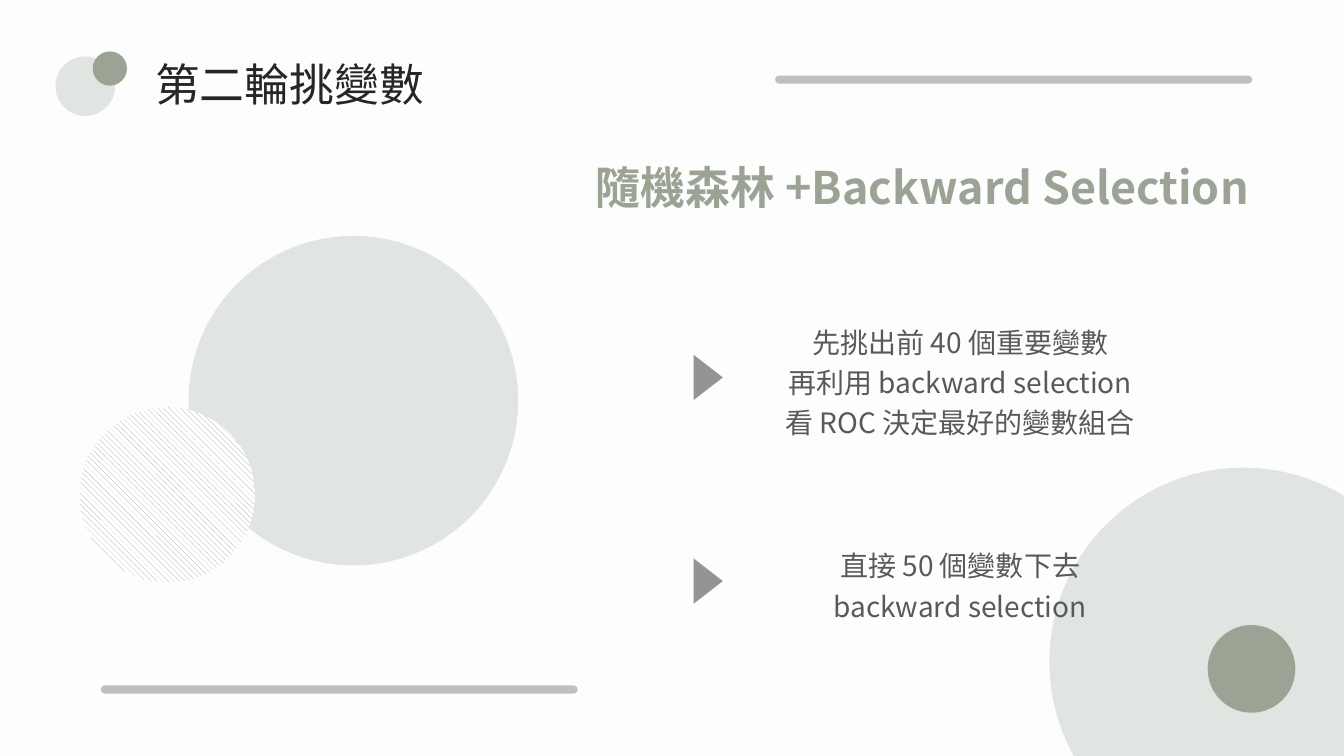
from dataclasses import dataclass

from lxml import etree
from pptx import Presentation, util as u
from pptx.dml.color import RGBColor
from pptx.enum import dml, shapes, text
from pptx.oxml.ns import qn


@dataclass(frozen=True)
class Theme:
    font: str = "Noto Sans CJK SC"
    background: str = "FDFDFD"
    white: str = "FFFFFF"
    mist: str = "E1E5E2"
    sage: str = "9AA394"
    marker: str = "929591"
    bar: str = "BFBFBF"
    ink: str = "262626"
    body: str = "595959"
    title_size: int = 32
    body_size: int = 20


class SlideBuilder:
    """Places elements by percentages of the slide's width and height."""

    def __init__(self, presentation, theme):
        self.theme = theme
        self.width = presentation.slide_width
        self.height = presentation.slide_height
        self.slide = presentation.slides.add_slide(presentation.slide_layouts[6])
        self.paint(self.slide.background.fill, theme.background)

    def box(self, left, top, width, height):
        return (int(self.width * left / 100), int(self.height * top / 100),
                int(self.width * width / 100), int(self.height * height / 100))

    @staticmethod
    def paint(fill, color):
        fill.solid()
        fill.fore_color.rgb = RGBColor.from_string(color)

    def shape(self, kind, bounds, color):
        shape = self.slide.shapes.add_shape(kind, *self.box(*bounds))
        shape.shadow.inherit = False
        shape.line.fill.background()
        self.paint(shape.fill, color)
        return shape

    def circle(self, left, top, diameter, color):
        """The diameter is a percentage of the slide's width."""
        bounds = (left, top, diameter, diameter * self.width / self.height)
        return self.shape(shapes.MSO_SHAPE.OVAL, bounds, color)

    def hatched_circle(self, left, top, diameter):
        fill = self.circle(left, top, diameter, self.theme.white).fill
        fill.patterned()
        fill.pattern = dml.MSO_PATTERN.WIDE_DOWNWARD_DIAGONAL
        fill.fore_color.rgb = RGBColor.from_string(self.theme.sage)
        fill.back_color.rgb = RGBColor.from_string(self.theme.white)

    def bar(self, left, top):
        bounds = (left, top, 35.48, 1.07)
        bar = self.shape(shapes.MSO_SHAPE.ROUNDED_RECTANGLE, bounds, self.theme.bar)
        bar.adjustments[0] = 0.5

    def marker(self, left, top):
        bounds = (left, top, 3.38, 3.87)
        marker = self.shape(shapes.MSO_SHAPE.ISOSCELES_TRIANGLE, bounds, self.theme.marker)
        marker.rotation = 90

    def text(self, bounds, lines, size, color, bold=False, wrap=True, **paragraph_format):
        frame = self.slide.shapes.add_textbox(*self.box(*bounds)).text_frame
        frame.word_wrap = wrap
        frame.auto_size = text.MSO_AUTO_SIZE.SHAPE_TO_FIT_TEXT
        font_format = {"name": self.theme.font, "size": u.Pt(size), "bold": bold}
        for index, line in enumerate(lines):
            paragraph = frame.add_paragraph() if index else frame.paragraphs[0]
            for name, value in paragraph_format.items():
                setattr(paragraph, name, value)
            run = paragraph.add_run()
            run.text = line
            for name, value in font_format.items():
                setattr(run.font, name, value)
            run.font.color.rgb = RGBColor.from_string(color)
            east_asian = etree.SubElement(run._r.get_or_add_rPr(), qn("a:ea"))
            east_asian.set("typeface", self.theme.font)

    def title(self, bounds, line, color, **options):
        self.text(bounds, [line], self.theme.title_size, color, **options)

    def body(self, bounds, lines):
        self.text(bounds, lines, self.theme.body_size, self.theme.body,
                  alignment=text.PP_ALIGN.CENTER, line_spacing=1.2)


def main():
    presentation = Presentation()
    presentation.slide_width = u.Inches(13.33)
    presentation.slide_height = u.Inches(7.5)
    theme = Theme()
    page = SlideBuilder(presentation, theme)

    page.circle(78.08, 61.87, 28.88, theme.mist)
    page.circle(14.03, 31.2, 24.53, theme.mist)

    page.title((10.8, 6.8, 21.68, 8.53), "第二輪挑變數", theme.ink, wrap=False)
    page.circle(4.13, 7.47, 4.43, theme.mist)
    page.circle(6.9, 6.8, 2.55, theme.sage)
    page.title((43.58, 20.53, 55.73, 8.53), "隨機森林 +Backward Selection",
               theme.sage, bold=True)
    page.hatched_circle(5.93, 53.87, 13.05)

    for top in (48, 74.93):
        page.marker(51, top)
    page.body((56.93, 41.47, 29.03, 17.07), [
        "先挑出前 40 個重要變數",
        "再利用 backward selection",
        "看 ROC 決定最好的變數組合",
    ])
    page.body((60.3, 71.07, 22.28, 11.6), ["直接 50 個變數下去 backward selection"])

    for left, top in ((57.68, 10), (7.5, 90.67)):
        page.bar(left, top)
    page.circle(89.85, 82.67, 6.53, theme.sage)

    presentation.save("out.pptx")


if __name__ == "__main__":
    main()
